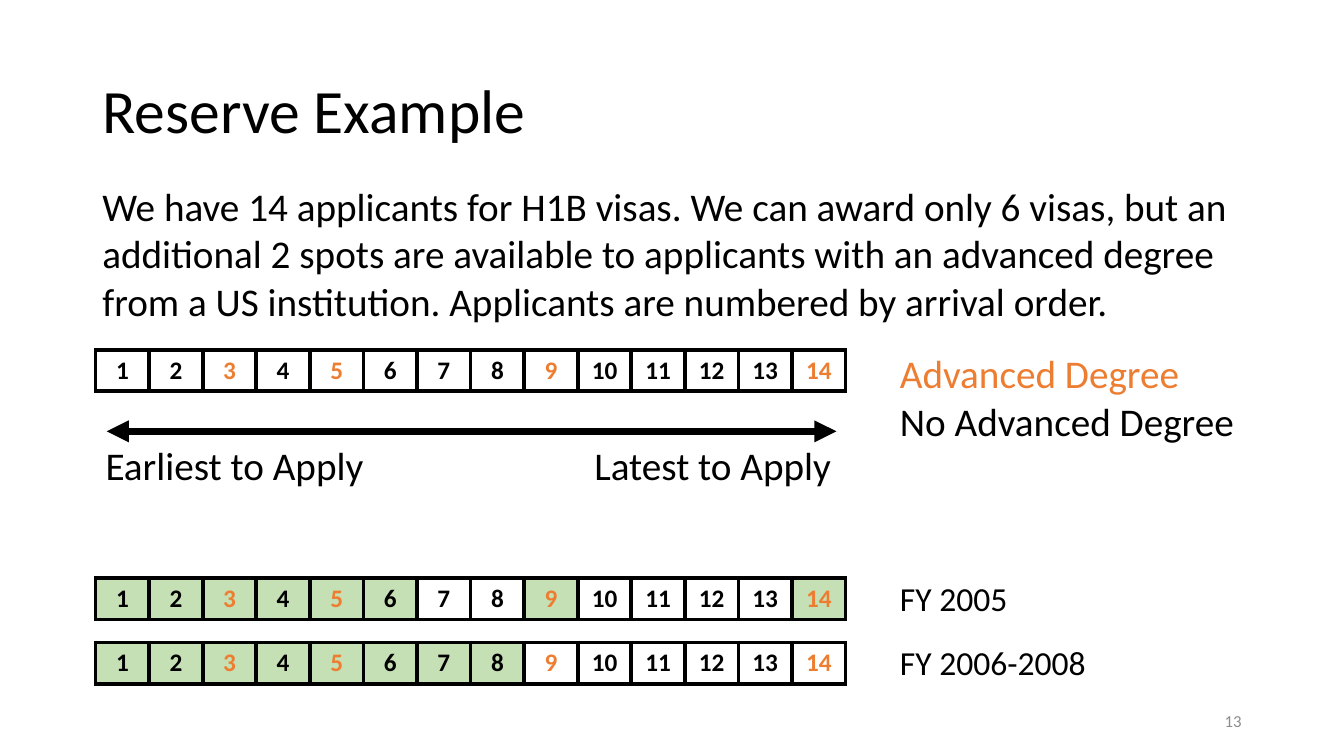
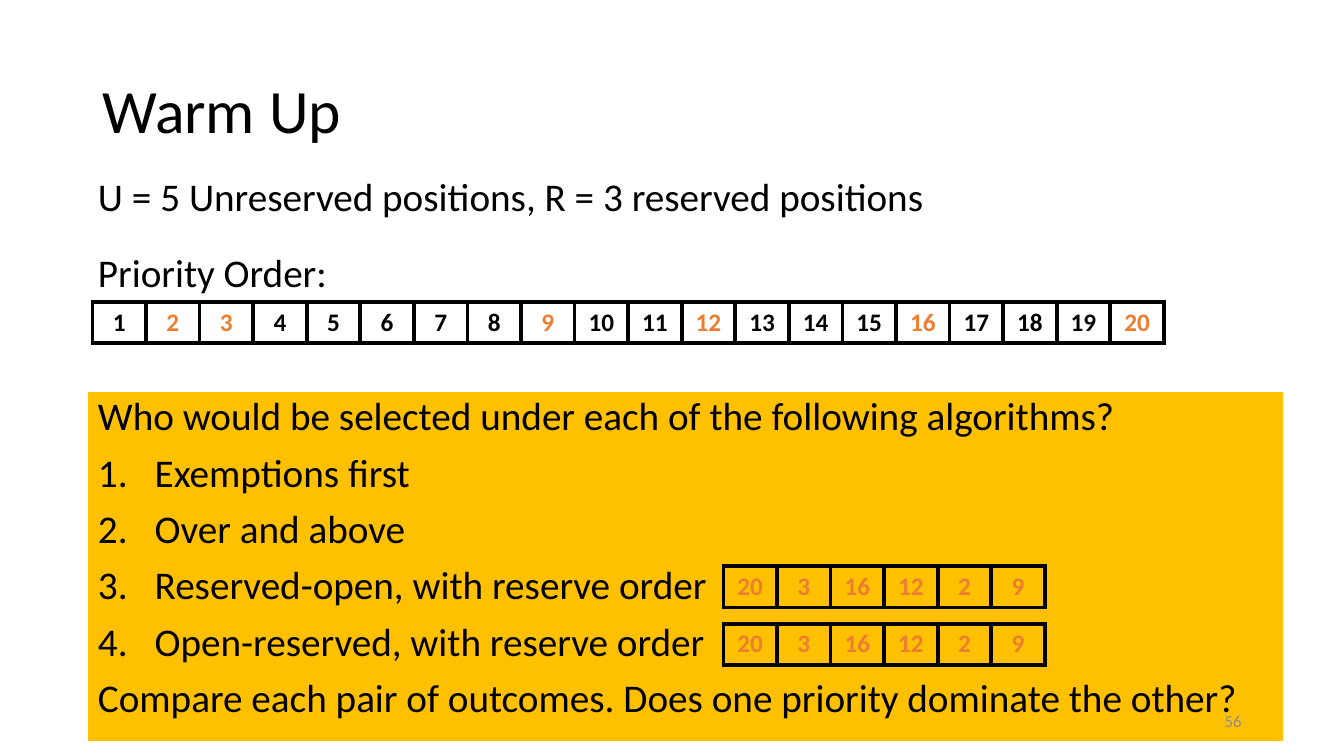
from dataclasses import dataclass

from pptx import Presentation
from pptx.dml.color import RGBColor
from pptx.enum.shapes import MSO_CONNECTOR, MSO_SHAPE
from pptx.enum.text import MSO_ANCHOR, PP_ALIGN
from pptx.oxml.ns import qn
from pptx.util import Cm, Pt
from lxml import etree

LEFT, CENTER, RIGHT = PP_ALIGN.LEFT, PP_ALIGN.CENTER, PP_ALIGN.RIGHT
TOP, MIDDLE = MSO_ANCHOR.TOP, MSO_ANCHOR.MIDDLE
RECT, STRAIGHT = MSO_SHAPE.RECTANGLE, MSO_CONNECTOR.STRAIGHT


@dataclass(frozen=True)
class Theme:
    font: str = "Calibri"
    text: str = "000000"
    reserved: str = "ED7D31"
    selected: str = "C5E0B4"
    panel: str = "FFC000"
    muted: str = "8C8C8C"
    title_size: float = 44
    body_size: float = 28
    label_size: float = 24
    cell_size: float = 18
    page_size: float = 12
    border: float = 3
    arrow: float = 5.25
    cell_width: float = 1.35
    cell_height: float = 1.04
    indent: float = 1.43


class Deck:
    def __init__(self, theme):
        self.theme = theme
        self.prs = Presentation()
        self.prs.slide_width, self.prs.slide_height = Cm(33.87), Cm(19.05)
        self.s = None

    def slide(self, title, number):
        t = self.theme
        self.s = self.prs.slides.add_slide(self.prs.slide_layouts[6])
        self.text([title], 2.33, 1.02, 29.21, 3.68, size=t.title_size,
                  anchor=MIDDLE, spacing=0.9)
        return number

    def page_number(self, number):
        t = self.theme
        self.text([str(number)], 23.92, 17.66, 7.62, 1.02, size=t.page_size,
                  colors=[t.muted], align=RIGHT, anchor=MIDDLE)

    def style(self, font, size, color, bold=False):
        values = {"name": self.theme.font, "size": Pt(size), "bold": bold}
        for name, value in values.items():
            setattr(font, name, value)
        font.color.rgb = RGBColor.from_string(color)

    def number(self, p):
        pPr = p._p.get_or_add_pPr()
        indent = Cm(self.theme.indent)
        pPr.set("marL", str(indent))
        pPr.set("indent", str(-indent))
        etree.SubElement(pPr, qn("a:buFont"), typeface="+mj-lt")
        etree.SubElement(pPr, qn("a:buAutoNum"), type="arabicPeriod")

    def fill_text(self, tf, lines, size=None, colors=None, numbered=(),
                  wrap=True, anchor=TOP, align=LEFT, spacing=1.0, before=0):
        t = self.theme
        for name, value in {"word_wrap": wrap, "vertical_anchor": anchor}.items():
            setattr(tf, name, value)
        for i, line in enumerate(lines):
            p = tf.add_paragraph() if i else tf.paragraphs[0]
            if i in numbered:
                self.number(p)
            values = {"alignment": align, "line_spacing": spacing,
                      "space_before": Pt(before if i else 0)}
            for name, value in values.items():
                setattr(p, name, value)
            r = p.add_run()
            r.text = line
            self.style(r.font, size or t.body_size, colors[i] if colors else t.text)

    def text(self, lines, x, y, w, h, **fmt):
        sp = self.s.shapes.add_textbox(Cm(x), Cm(y), Cm(w), Cm(h))
        self.fill_text(sp.text_frame, lines, **fmt)

    def panel(self, lines, x, y, w, h, **fmt):
        sp = self.s.shapes.add_shape(RECT, Cm(x), Cm(y), Cm(w), Cm(h))
        sp.shadow.inherit = False
        sp.fill.solid()
        sp.fill.fore_color.rgb = RGBColor.from_string(self.theme.panel)
        sp.line.fill.background()
        self.fill_text(sp.text_frame, lines, **fmt)

    def borders(self, cell):
        tcPr = cell._tc.get_or_add_tcPr()
        for i, side in enumerate(("a:lnL", "a:lnR", "a:lnT", "a:lnB")):
            ln = etree.Element(qn(side), w=str(Pt(self.theme.border)))
            fill = etree.SubElement(ln, qn("a:solidFill"))
            etree.SubElement(fill, qn("a:srgbClr"), val=self.theme.text)
            tcPr.insert(i, ln)

    def queue(self, applicants, x, y, reserved, selected=()):
        t = self.theme
        n = len(applicants)
        table = self.s.shapes.add_table(1, n, Cm(x), Cm(y), Cm(n * t.cell_width),
                                        Cm(t.cell_height)).table
        table.first_row = table.horz_banding = False
        for i, applicant in enumerate(applicants):
            table.columns[i].width = Cm(t.cell_width)
            cell = table.cell(0, i)
            if applicant in selected:
                cell.fill.solid()
                cell.fill.fore_color.rgb = RGBColor.from_string(t.selected)
            else:
                cell.fill.background()
            self.borders(cell)
            p = cell.text_frame.paragraphs[0]
            p.alignment = CENTER
            r = p.add_run()
            r.text = str(applicant)
            color = t.reserved if applicant in reserved else t.text
            self.style(r.font, t.cell_size, color, bold=True)

    def double_arrow(self, x1, x2, y):
        line = self.s.shapes.add_connector(STRAIGHT, Cm(x1), Cm(y), Cm(x2), Cm(y))
        line.line.width = Pt(self.theme.arrow)
        line.line.color.rgb = RGBColor.from_string(self.theme.text)
        ln = line.line._get_or_add_ln()
        for end in ("a:headEnd", "a:tailEnd"):
            etree.SubElement(ln, qn(end), type="triangle")
        etree.SubElement(line._element.spPr, qn("a:effectLst"))


def reserve_example(deck):
    t = deck.theme
    number = deck.slide("Reserve Example", 13)
    deck.text(["We have 14 applicants for H1B visas. We can award only 6 visas, "
               "but an additional 2 spots are available to applicants with an "
               "advanced degree from a US institution. Applicants are numbered "
               "by arrival order."], 2.33, 4.48, 29.21, 3.84)

    applicants = range(1, 15)
    advanced = {3, 5, 9, 14}
    left, label_left = 2.41, 22.43
    deck.queue(applicants, left, 8.82, advanced)
    deck.text(["Advanced Degree", "No Advanced Degree"], label_left, 8.69, 9.02, 2.64,
              colors=[t.reserved, t.text], wrap=False)
    deck.double_arrow(2.69, 21.08, 10.87)
    for label, x, w in (("Earliest to Apply", left, 7.32),
                        ("Latest to Apply", 14.73, 6.55)):
        deck.text([label], x, 11, w, 1.45, wrap=False)

    years = (("FY 2005", 3.25, {*range(1, 7), 9, 14}),
             ("FY 2006-2008", 5.23, set(range(1, 9))))
    for i, (label, w, selected) in enumerate(years):
        y = 14.57 + i * 1.62
        deck.queue(applicants, left, y, advanced, selected)
        deck.text([label], label_left, y - 0.13, w, 1.28,
                  size=t.label_size, wrap=False)
    deck.page_number(number)


def warm_up(deck):
    number = deck.slide("Warm Up", 56)
    left = 2.22
    for label, y, w in (("U = 5 Unreserved positions, R = 3 reserved positions", 4.21, 21.59),
                        ("Priority Order:", 6.12, 6.58)):
        deck.text([label], left, y, w, 1.45, wrap=False)

    reserve_order = [20, 3, 16, 12, 2, 9]
    deck.queue(range(1, 21), 2.33, 7.61, reserve_order)
    deck.panel(["Who would be selected under each of the following algorithms?",
                "Exemptions first",
                "Over and above",
                "Reserved-open, with reserve order",
                "Open-reserved, with reserve order",
                "Compare each pair of outcomes. Does one priority dominate the other?"],
               left, 9.88, 30.12, 8.79, numbered=range(1, 5), spacing=0.9, before=10)
    for y in (14.27, 15.72):
        deck.queue(reserve_order, 18.23, y, reserve_order)
    deck.page_number(number)


def main():
    deck = Deck(Theme())
    reserve_example(deck)
    warm_up(deck)
    deck.prs.save("out.pptx")


if __name__ == "__main__":
    main()
